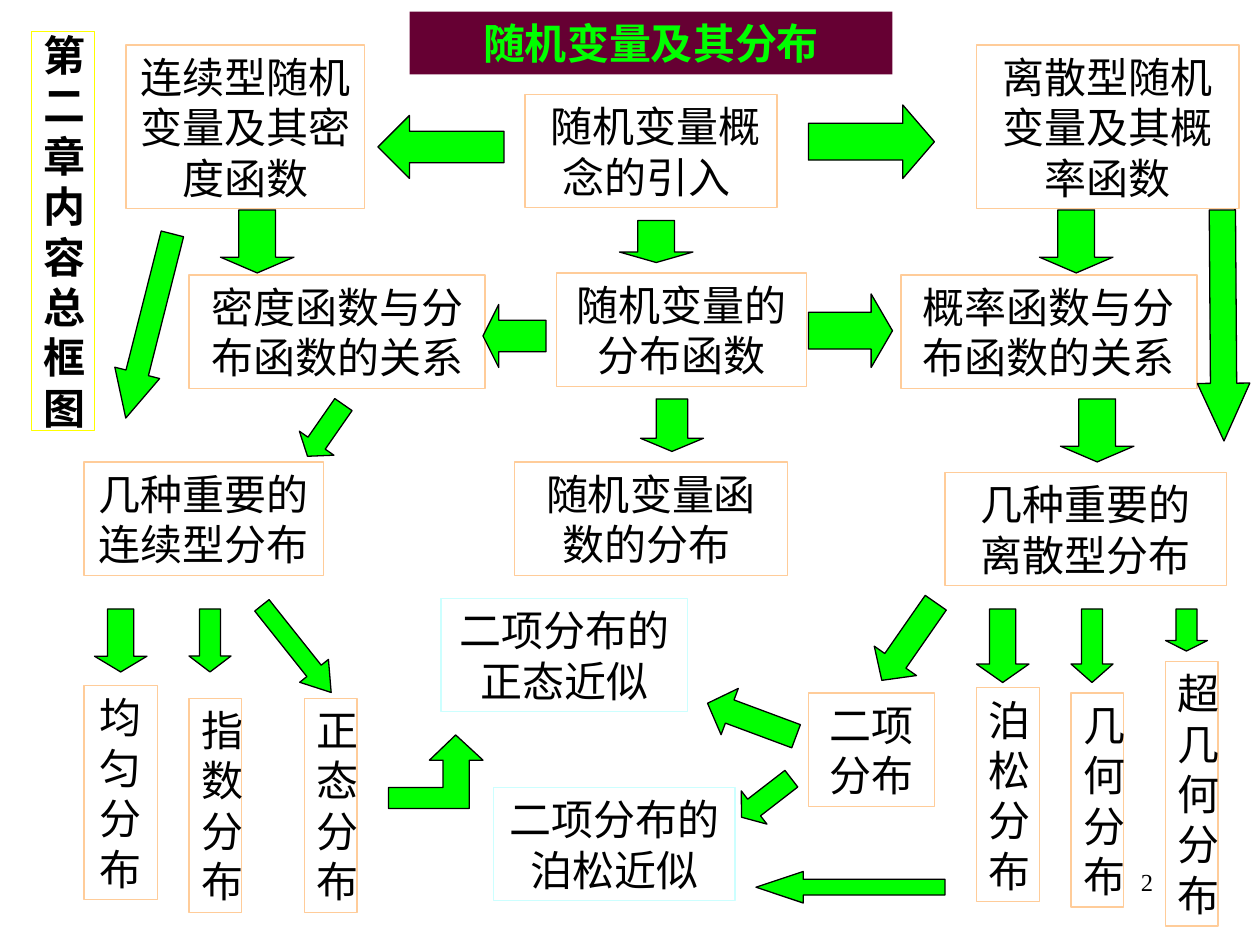
from pptx import Presentation
from pptx import util as u
from pptx.dml.color import RGBColor
from pptx.enum import shapes, text

CELL = u.Inches(1) // 12  # the slide is a grid of 120 columns by 90 rows
GREEN, PEACH, AQUA = "00FF00", "FFCC99", "CCFFFF"
LEFT, RIGHT, DOWN = (shapes.MSO_SHAPE.LEFT_ARROW, shapes.MSO_SHAPE.RIGHT_ARROW,
                     shapes.MSO_SHAPE.DOWN_ARROW)


def paint(fill, colour):
    """Fill with a hex colour, or leave empty when there is none."""
    if colour:
        fill.solid()
        fill.fore_color.rgb = RGBColor.from_string(colour)
    else:
        fill.background()


def style(shape, fill, line):
    shape.shadow.inherit = False
    paint(shape.fill, fill)
    paint(shape.line.fill, line)
    if line:
        shape.line.width = u.Pt(0.75)


presentation = Presentation()
presentation.slide_width, presentation.slide_height = 120 * CELL, 90 * CELL
slide = presentation.slides.add_slide(presentation.slide_layouts[6])

# Boxes: wording, column, row, columns wide, rows high, fill, outline, changes to the format
base = {"size": u.Pt(24), "name": "Times New Roman", "bold": False}
boxes = [
    ("随机变量及其分布", 39, 1.1, 46, 6, "660033", None, {"bold": True}),
    (" 随机变量概念的引入 ", 50, 9, 24, 10.8, "FFFFFF", PEACH, {}),
    ("连续型随机变量及其密度函数", 12, 4.3, 22.7, 15.6, None, PEACH, {}),
    ("离散型随机变量及其概率函数", 93, 4.3, 25, 15.6, None, PEACH, {}),
    ("密度函数与分布函数的关系", 18, 26.2, 28.2, 10.8, None, PEACH, {}),
    ("随机变量的分布函数", 53, 26, 23.8, 10.8, None, PEACH, {}),
    ("概率函数与分布函数的关系", 85.8, 26.2, 28.2, 10.8, None, PEACH, {}),
    ("几种重要的连续型分布", 8, 44, 22.8, 10.8, None, PEACH, {}),
    ("随机变量函数的分布 ", 49, 44, 26, 10.8, None, PEACH, {}),
    ("几种重要的 离散型分布", 90, 45, 26.8, 10.8, None, PEACH, {}),
    ("均匀分布", 8, 65.3, 7, 20.4, None, PEACH, {}),
    ("正态分布", 29, 66.5, 5, 20.4, None, PEACH, {}),
    ("指数分布", 18, 66.5, 5, 20.4, None, PEACH, {}),
    ("二项分布的正态近似", 42, 57, 23.5, 10.8, None, AQUA, {}),
    ("二项分布", 77, 66, 12, 10.8, None, PEACH, {}),
    ("泊松分布", 93, 65.5, 6, 20.4, None, PEACH, {}),
    ("几何分布", 102, 66, 5, 20.4, None, PEACH, {}),
    ("超几何分布", 111, 63, 5, 25.2, None, PEACH, {}),
    ("二项分布的泊松近似", 47, 75, 23, 10.8, None, AQUA, {}),
    ("第二章内容总框图", 3, 3, 6, 38, None, "FFFF00", {"bold": True}),
]
for wording, column, row, width, height, fill, line, changes in boxes:
    box = slide.shapes.add_shape(
        shapes.MSO_SHAPE.RECTANGLE,
        *(round(n * CELL) for n in (column, row, width, height)))
    style(box, fill, line)
    frame = box.text_frame
    frame.word_wrap = True
    frame.vertical_anchor = text.MSO_ANCHOR.MIDDLE
    paragraph = frame.paragraphs[0]
    paragraph.text = wording
    paragraph.alignment = text.PP_ALIGN.CENTER
    for key, value in {**base, **changes}.items():
        setattr(paragraph.font, key, value)
    paint(paragraph.font.fill, GREEN if fill == "660033" else "000000")

# Arrows: preset, column, row, columns wide, rows high, head length, rotation
arrows = [
    (LEFT, 36, 11, 12, 6, 0.5, 0),
    (LEFT, 46, 29, 6, 6, 0.25, 0),
    (RIGHT, 77, 10, 12, 7, 0.43, 0),
    (RIGHT, 77, 28, 8, 7, 0.29, 0),
    (DOWN, 59, 21, 7, 4, 0.25, 0),
    (DOWN, 21, 20, 7, 6, 0.25, 0),
    (DOWN, 61, 38, 6, 5, 0.25, 0),
    (DOWN, 99, 20, 7, 6, 0.25, 0),
    (DOWN, 101, 38, 7, 6, 0.25, 0),
    (DOWN, 18, 58, 4, 6, 0.38, 0),
    (DOWN, 26.5, 56.5, 3.5, 10.6, 0.75, 321.5),
    (DOWN, 93, 58, 5, 7, 0.35, 0),
    (DOWN, 102, 58, 4, 7, 0.44, 0),
    (DOWN, 111, 58, 4, 4, 0.25, 0),
    (DOWN, 12, 22, 4.4, 18.1, 1.01, 14.2),
    (DOWN, 9, 58, 5, 6, 0.3, 0),
    (DOWN, 84.1, 56.6, 4.9, 9, 0.46, 34.8),
    (DOWN, 29, 38, 4, 6, 0.38, 34.8),
    (LEFT, 70, 74, 6, 4, 0.38, 322.3),
    (LEFT, 67.1, 66.2, 9, 4.7, 0.48, 20.4),
    (LEFT, 72, 83, 18, 3, 1.5, 0),
    (DOWN, 114, 20, 5, 22, 1.1, 359.6),
]
for preset, column, row, width, height, head, rotation in arrows:
    arrow = slide.shapes.add_shape(
        preset, *(round(n * CELL) for n in (column, row, width, height)))
    style(arrow, GREEN, "000000")
    arrow.adjustments[0] = 0.5
    arrow.adjustments[1] = head
    arrow.rotation = rotation

# Bent arrow from the normal distribution up to its approximation
bend = [(37, 75), (42.2, 75), (42.2, 72.4), (40.9, 72.4), (43.4, 70),
        (46, 72.4), (44.7, 72.4), (44.7, 77), (37, 77)]
points = [(round(x * CELL), round(y * CELL)) for x, y in bend]
builder = slide.shapes.build_freeform(*points[0])
builder.add_line_segments(points[1:], close=True)
style(builder.convert_to_shape(), GREEN, "000000")

# Page number
number = slide.shapes.add_textbox(86 * CELL, 82 * CELL, 25 * CELL, 6 * CELL)
number.text_frame.word_wrap = True
paragraph = number.text_frame.paragraphs[0]
paragraph.text = "2"
paragraph.alignment = text.PP_ALIGN.RIGHT
for key, value in {**base, "size": u.Pt(14)}.items():
    setattr(paragraph.font, key, value)
paint(paragraph.font.fill, "000000")

presentation.save("out.pptx")
